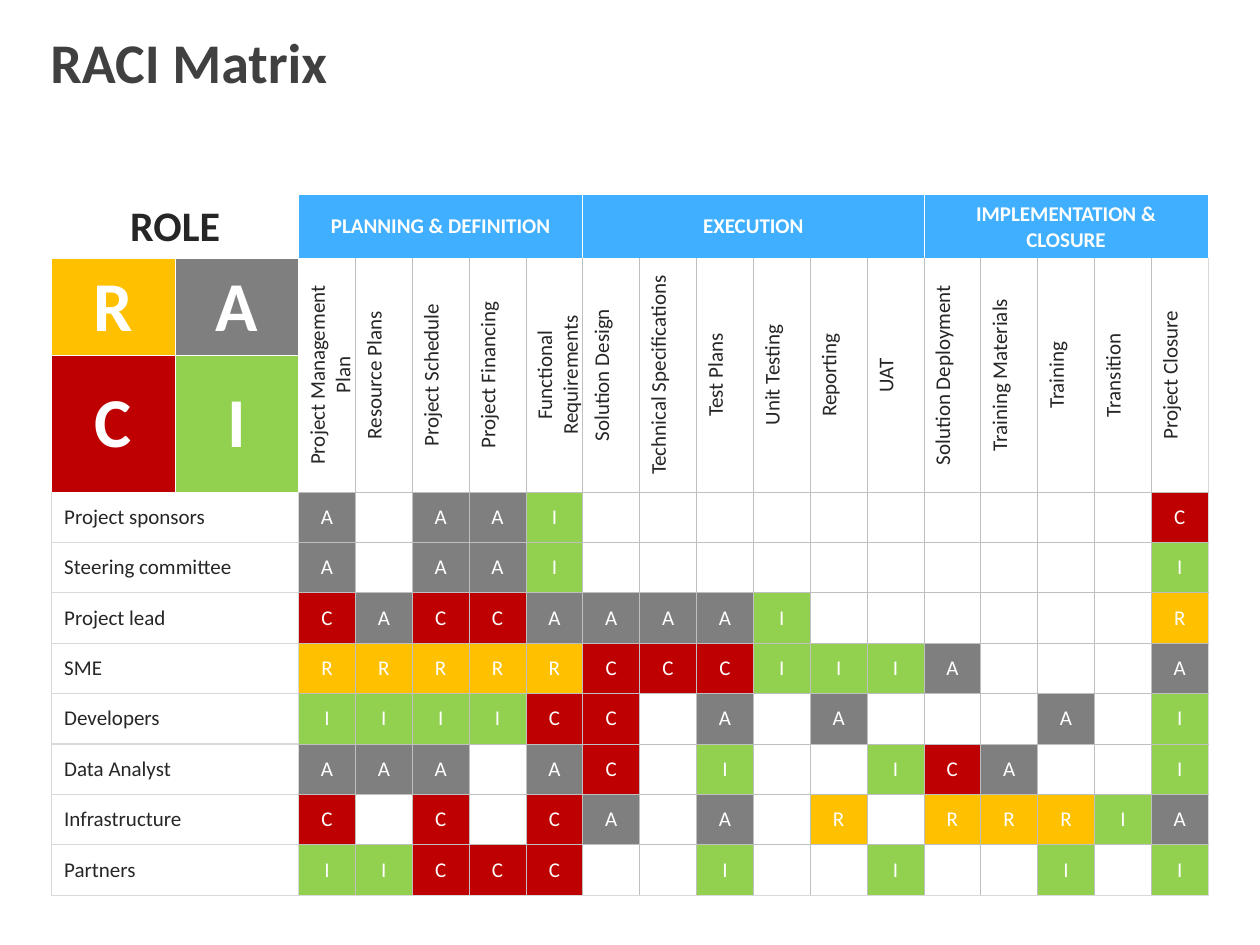
from lxml import etree
from pptx import Presentation
from pptx.dml.color import RGBColor
from pptx.enum.text import MSO_ANCHOR, PP_ALIGN
from pptx.oxml.ns import qn
from pptx.util import Inches, Pt

MIDDLE = MSO_ANCHOR.MIDDLE
LEFT, CENTER = PP_ALIGN.LEFT, PP_ALIGN.CENTER

FONT = "Calibri"
COLORS = {"title": "404040", "text": "262626", "white": "FFFFFF", "phase": "40AFFF",
          "R": "FFC000", "A": "7F7F7F", "C": "BF0000", "I": "92D050",
          "grid": "BFBFBF", "edge": "D9D9D9"}
WHITE_LINE, GRID_LINE, EDGE_LINE = ("white", 0.5), ("grid", 0.5), ("edge", 0.75)

PHASES = {
    "PLANNING & DEFINITION": ["Project Management Plan", "Resource Plans", "Project Schedule",
                              "Project Financing", "Functional Requirements"],
    "EXECUTION": ["Solution Design", "Technical Specifications", "Test Plans",
                  "Unit Testing", "Reporting", "UAT"],
    "IMPLEMENTATION & CLOSURE": ["Solution Deployment", "Training Materials", "Training",
                                 "Transition", "Project Closure"],
}
TASKS = [task for tasks in PHASES.values() for task in tasks]
# One letter per task, a dot where the role has no part in it
ROLES = {
    "Project sponsors":   "A.AAI..........C",
    "Steering committee": "A.AAI..........I",
    "Project lead":       "CACCAAAAI......R",
    "SME":                "RRRRRCCCIIIA...A",
    "Developers":         "IIIICC.A.A...A.I",
    "Data Analyst":       "AAA.AC.I..ICA..I",
    "Infrastructure":     "C.C.CA.A.R.RRRIA",
    "Partners":           "IICCC..I..I..I.I",
}
LEGEND = ["RA", "CI"]
KEY_COLS, HEAD_ROWS = 2, 3
LAST = len(TASKS) - 1
KEY_WIDTH = 0.98
ROW_HEIGHTS = [0.47, 0.73, 0.73] + [0.4] * len(ROLES)


def rgb(name):
    return RGBColor.from_string(COLORS[name])


def write(tf, text, size, color, bold=False, align=CENTER):
    p = tf.paragraphs[0]
    p.text = text
    p.alignment = align
    p.font.name, p.font.size, p.font.bold = FONT, Pt(size), bold
    p.font.color.rgb = rgb(color)
    return p


def set_borders(cell, left=None, right=None, top=None, bottom=None):
    """Draw each side given as (colour, points); a side left out has no line."""
    tcPr = cell._tc.get_or_add_tcPr()
    for tag, line in zip(("lnL", "lnR", "lnT", "lnB"), (left, right, top, bottom)):
        ln = etree.SubElement(tcPr, qn(f"a:{tag}"))
        if line is None:
            etree.SubElement(ln, qn("a:noFill"))
            continue
        color, points = line
        ln.set("w", str(Pt(points)))
        solid = etree.SubElement(ln, qn("a:solidFill"))
        etree.SubElement(solid, qn("a:srgbClr"), val=COLORS[color])


def style_cell(table, row, col, text="", fill=None, span=(1, 1), size=12, color="white",
               bold=False, align=CENTER, **borders):
    rows, cols = span
    for r in range(row, row + rows):
        for c in range(col, col + cols):
            set_borders(table.cell(r, c), **borders)
    cell = table.cell(row, col)
    if span != (1, 1):
        cell.merge(table.cell(row + rows - 1, col + cols - 1))
    if fill:
        cell.fill.solid()
        cell.fill.fore_color.rgb = rgb(fill)
    else:
        cell.fill.background()
    cell.vertical_anchor = MIDDLE
    write(cell.text_frame, text, size, color, bold, align)
    return cell


def add_title(slide, left, top, width, height):
    tf = slide.shapes.add_textbox(left, top, width, height).text_frame
    tf.word_wrap = True
    tf.margin_left = tf.margin_right = tf.margin_top = tf.margin_bottom = 0
    tf.vertical_anchor = MIDDLE
    write(tf, "RACI Matrix", 32, "title", True, LEFT).line_spacing = 0.9


def fill_key(table):
    style_cell(table, 0, 0, "ROLE", span=(1, KEY_COLS), size=24, color="text", bold=True,
               left=("white", 0.25), top=("white", 0.25), bottom=WHITE_LINE)
    for row, letters in enumerate(LEGEND, 1):
        for col, letter in enumerate(letters):
            style_cell(table, row, col, letter, letter, size=40, bold=True, left=WHITE_LINE,
                       right=WHITE_LINE, top=WHITE_LINE, bottom=WHITE_LINE)


def fill_headings(table):
    col = KEY_COLS
    for phase, tasks in PHASES.items():
        style_cell(table, 0, col, phase, "phase", (1, len(tasks)), bold=True,
                   left=WHITE_LINE if col > KEY_COLS else None,
                   right=WHITE_LINE if col + len(tasks) < KEY_COLS + len(TASKS) else None)
        col += len(tasks)
    for i, task in enumerate(TASKS):
        cell = style_cell(table, 1, KEY_COLS + i, task, span=(2, 1), color="text",
                          left=GRID_LINE if i else WHITE_LINE,
                          right=EDGE_LINE if i == LAST else GRID_LINE, bottom=GRID_LINE)
        cell._tc.get_or_add_tcPr().set("vert", "vert270")


def fill_roles(table):
    for row, (role, letters) in enumerate(ROLES.items(), HEAD_ROWS):
        style_cell(table, row, 0, role, span=(1, KEY_COLS), color="text", align=LEFT,
                   left=EDGE_LINE, right=EDGE_LINE, bottom=EDGE_LINE,
                   top=WHITE_LINE if row == HEAD_ROWS else EDGE_LINE)
        bottom = EDGE_LINE if row == len(ROW_HEIGHTS) - 1 else GRID_LINE
        for i, letter in enumerate(letters):
            used = letter != "."
            style_cell(table, row, KEY_COLS + i, letter if used else "",
                       letter if used else None, left=GRID_LINE if i else EDGE_LINE,
                       right=EDGE_LINE if i == LAST else GRID_LINE,
                       top=GRID_LINE, bottom=bottom)


def add_matrix(slide, left, top, width, height):
    table = slide.shapes.add_table(len(ROW_HEIGHTS), KEY_COLS + len(TASKS),
                                   left, top, width, height).table
    table.first_row = table.horz_banding = False
    task_width = (width - KEY_COLS * Inches(KEY_WIDTH)) // len(TASKS)
    for i, column in enumerate(table.columns):
        column.width = Inches(KEY_WIDTH) if i < KEY_COLS else task_width
    for row, row_height in zip(table.rows, ROW_HEIGHTS):
        row.height = Inches(row_height)
    fill_key(table)
    fill_headings(table)
    fill_roles(table)


def main():
    prs = Presentation()
    prs.slide_width, prs.slide_height = Inches(10), Inches(7.5)
    slide = prs.slides.add_slide(prs.slide_layouts[6])
    add_title(slide, Inches(0.4), Inches(0.28), Inches(9.2), Inches(0.48))
    add_matrix(slide, Inches(0.41), Inches(1.55), Inches(9.18), Inches(sum(ROW_HEIGHTS)))
    prs.save("out.pptx")


if __name__ == "__main__":
    main()
